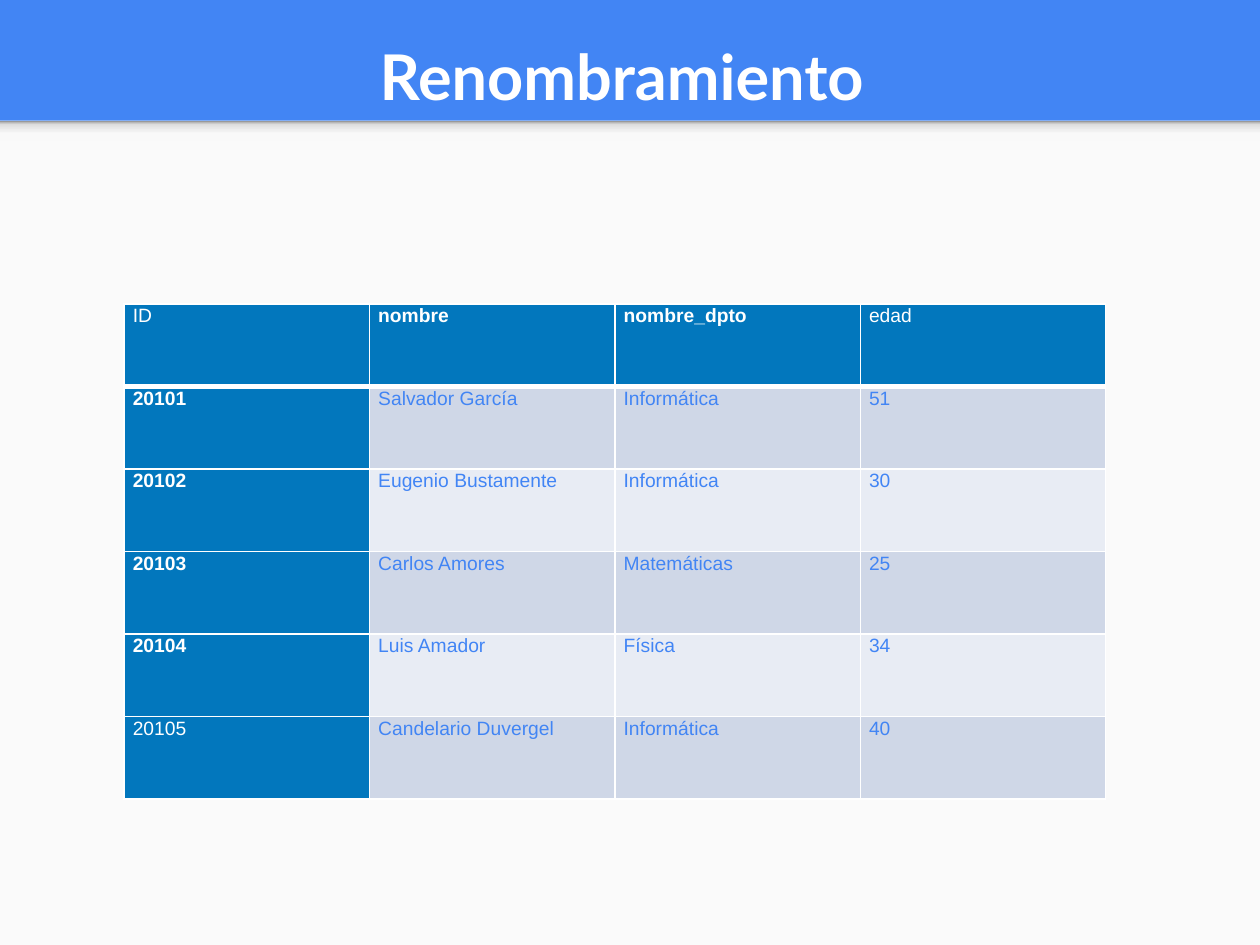
"""Build the "Renombramiento" slide: a title band above a table of people."""
import copy
import pptx
import pptx.dml.color
import pptx.enum.shapes
import pptx.enum.text
import pptx.oxml
import pptx.oxml.ns
import pptx.util

Pt = pptx.util.Pt
RECTANGLE = pptx.enum.shapes.MSO_SHAPE.RECTANGLE

TITLE = "Renombramiento"
ROWS = [
    ("ID", "nombre", "nombre_dpto", "edad"),
    ("20101", "Salvador García", "Informática", "51"),
    ("20102", "Eugenio Bustamente", "Informática", "30"),
    ("20103", "Carlos Amores", "Matemáticas", "25"),
    ("20104", "Luis Amador", "Física", "34"),
    ("20105", "Candelario Duvergel", "Informática", "40"),
]
BOLD = {"nombre", "nombre_dpto", "20101", "20102", "20103", "20104"}
SHADOW_STOPS = [(0, "F9F9F9"), (0.36, "F9F9F9"), (0.8, "DEDEDE"), (1, "999999")]
THEME = {
    "blue": "4285F4", "panel": "FAFAFA", "white": "FFFFFF", "head": "0277BD",
    "bands": ("CFD7E7", "E8ECF4"), "title_font": "Lato", "title_size": 36,
    "body_font": "Arial", "body_size": 11,
}
PAGE_WIDTH, PAGE_HEIGHT, BAND_HEIGHT = 720, 540, 69
TABLE_LEFT, TABLE_TOP, COLUMN_WIDTH, ROW_HEIGHT = 70.9, 173.7, 140.25, 47.15


def rgb(value):
    return pptx.dml.color.RGBColor.from_string(value)


def add_span(para, text, font, size, color, bold):
    span = para.add_run()
    span.text = text
    span.font.name, span.font.size, span.font.bold = font, Pt(size), bold
    span.font.color.rgb = rgb(color)


def add_panel(page, top, height):
    panel = page.shapes.add_shape(RECTANGLE, 0, Pt(top), Pt(PAGE_WIDTH), Pt(height))
    panel.shadow.inherit = False
    panel.line.fill.background()
    panel.fill.solid()
    panel.fill.fore_color.rgb = rgb(THEME["panel"])
    return panel


def add_band_shadow(page):
    strip = add_panel(page, BAND_HEIGHT, 11.5)
    strip.fill.gradient()
    strip.fill.gradient_angle = 90
    stop_list = strip.fill.gradient_stops[0]._gs.getparent()
    while len(stop_list) < len(SHADOW_STOPS):
        stop_list.append(copy.deepcopy(stop_list[0]))
    for stop, (position, color) in zip(strip.fill.gradient_stops, SHADOW_STOPS):
        stop.position = position
        stop.color.rgb = rgb(color)


def set_title(page):
    title = page.shapes.title
    title.left, title.top, title.width, title.height = Pt(7.9), Pt(2.2), Pt(694.8), Pt(66.2)
    frame = title.text_frame
    frame.vertical_anchor = pptx.enum.text.MSO_ANCHOR.BOTTOM
    frame.auto_size = pptx.enum.text.MSO_AUTO_SIZE.NONE
    frame.margin_left = frame.margin_right = Pt(7.2)
    frame.margin_top = frame.margin_bottom = Pt(3.6)
    para = frame.paragraphs[0]
    para.alignment = pptx.enum.text.PP_ALIGN.CENTER
    add_span(para, TITLE, THEME["title_font"], THEME["title_size"], THEME["white"], True)


def set_borders(cell, row):
    properties = cell._tc.get_or_add_tcPr()
    widths = {"L": 1, "R": 1, "T": 3 if row == 1 else 1, "B": 3 if row == 0 else 1}
    for index, (side, width) in enumerate(widths.items()):
        properties.insert(index, pptx.oxml.parse_xml(
            f'<a:ln{side} {pptx.oxml.ns.nsdecls("a")} w="{Pt(width)}"><a:solidFill>'
            f'<a:srgbClr val="{THEME["white"]}"/></a:solidFill></a:ln{side}>'))


def format_cell(cell, text, row, column):
    is_head = row == 0 or column == 0
    cell.fill.solid()
    cell.fill.fore_color.rgb = rgb(THEME["head"] if is_head else THEME["bands"][(row - 1) % 2])
    cell.margin_left = cell.margin_right = Pt(5)
    cell.margin_top = cell.margin_bottom = 0
    cell.vertical_anchor = pptx.enum.text.MSO_ANCHOR.TOP
    para = cell.text_frame.paragraphs[0]
    para.line_spacing = 1.07
    add_span(para, text, THEME["body_font"], THEME["body_size"],
             THEME["white"] if is_head else THEME["blue"], text in BOLD)
    set_borders(cell, row)


def add_people_table(page):
    row_count, column_count = len(ROWS), len(ROWS[0])
    table = page.shapes.add_table(
        row_count, column_count, Pt(TABLE_LEFT), Pt(TABLE_TOP),
        Pt(COLUMN_WIDTH * column_count), Pt(ROW_HEIGHT * row_count)).table
    table.horz_banding = False
    for column in table.columns:
        column.width = Pt(COLUMN_WIDTH)
    for row, texts in enumerate(ROWS):
        table.rows[row].height = Pt(ROW_HEIGHT)
        for column, text in enumerate(texts):
            format_cell(table.cell(row, column), text, row, column)


def main():
    deck = pptx.Presentation()
    deck.slide_width, deck.slide_height = Pt(PAGE_WIDTH), Pt(PAGE_HEIGHT)
    page = deck.slides.add_slide(deck.slide_layouts[5])
    page.background.fill.solid()
    page.background.fill.fore_color.rgb = rgb(THEME["blue"])
    add_panel(page, BAND_HEIGHT, PAGE_HEIGHT - BAND_HEIGHT)
    add_band_shadow(page)
    set_title(page)
    add_people_table(page)
    deck.save("out.pptx")


if __name__ == "__main__":
    main()
